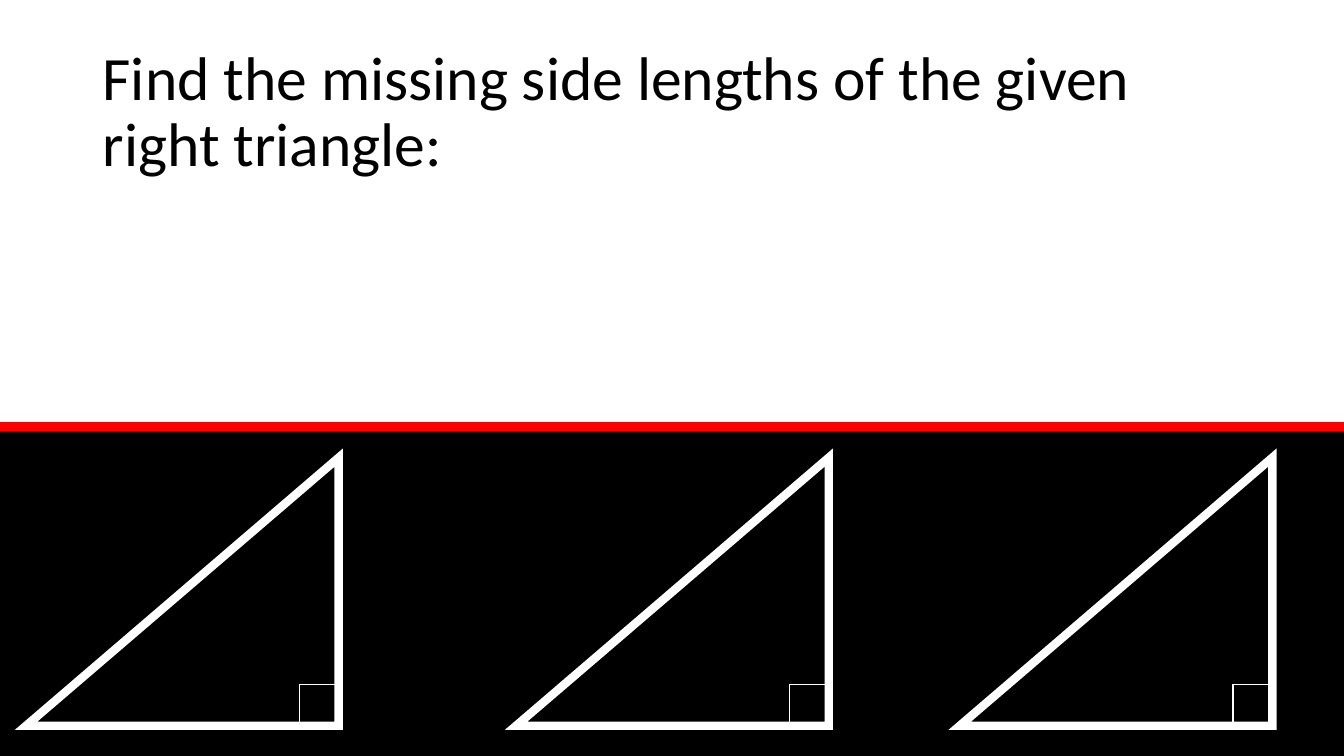
from lxml import etree
from pptx import Presentation
from pptx.dml.color import RGBColor
from pptx.enum.shapes import MSO_CONNECTOR, MSO_SHAPE
from pptx.enum.text import MSO_ANCHOR
from pptx.oxml.ns import qn
from pptx.util import Inches, Pt

BLACK = RGBColor(0x00, 0x00, 0x00)
WHITE = RGBColor(0xFF, 0xFF, 0xFF)
RED = RGBColor(0xFF, 0x00, 0x00)

RECTANGLE = MSO_SHAPE.RECTANGLE
RIGHT_TRIANGLE = MSO_SHAPE.RIGHT_TRIANGLE
STRAIGHT = MSO_CONNECTOR.STRAIGHT
MIDDLE = MSO_ANCHOR.MIDDLE

SLIDE_W, SLIDE_H = 13.33, 7.5
BAND_TOP = 4.23
TRIANGLE_TOP, TRIANGLE_W, TRIANGLE_H = 4.54, 3.1, 2.66
MARK_TOP, MARK_SIZE = 6.79, 0.39
TRIANGLE_LEFTS = (0.26, 5.12, 9.52)


def add_title(slide, text):
    box = slide.shapes.add_textbox(Inches(0.92), Inches(0.4), Inches(11.5), Inches(1.45))
    tf = box.text_frame
    tf.word_wrap = True
    tf.vertical_anchor = MIDDLE
    p = tf.paragraphs[0]
    p.text = text
    p.line_spacing = 0.9
    p.font.size = Pt(44)
    p.font.name = "Calibri"
    p.font.color.rgb = BLACK


def add_band(slide):
    sp = slide.shapes.add_shape(
        RECTANGLE, 0, Inches(BAND_TOP), Inches(SLIDE_W), Inches(SLIDE_H - BAND_TOP))
    sp.shadow.inherit = False
    sp.fill.solid()
    sp.fill.fore_color.rgb = BLACK
    sp.line.fill.background()


def add_divider(slide):
    line = slide.shapes.add_connector(
        STRAIGHT, 0, Inches(BAND_TOP), Inches(SLIDE_W), Inches(BAND_TOP))
    line.line.color.rgb = RED
    line.line.width = Pt(6)
    etree.SubElement(line._element.spPr, qn("a:effectLst"))


def add_outline(slide, kind, left, top, width, height, weight):
    sp = slide.shapes.add_shape(
        kind, Inches(left), Inches(top), Inches(width), Inches(height))
    sp.shadow.inherit = False
    sp.fill.background()
    sp.line.color.rgb = WHITE
    sp.line.width = Pt(weight)
    miter = etree.SubElement(sp._element.spPr.find(qn("a:ln")), qn("a:miter"))
    miter.set("lim", "800000")
    return sp


def add_right_triangle(slide, left):
    triangle = add_outline(
        slide, RIGHT_TRIANGLE, left, TRIANGLE_TOP, TRIANGLE_W, TRIANGLE_H, 6)
    triangle._element.spPr.find(qn("a:xfrm")).set("flipH", "1")
    mark_left = left + TRIANGLE_W - MARK_SIZE
    add_outline(slide, RECTANGLE, mark_left, MARK_TOP, MARK_SIZE, MARK_SIZE, 1)


def main():
    prs = Presentation()
    prs.slide_width = Inches(SLIDE_W)
    prs.slide_height = Inches(SLIDE_H)
    slide = prs.slides.add_slide(prs.slide_layouts[6])
    add_title(slide, "Find the missing side lengths of the given right triangle:")
    add_band(slide)
    add_divider(slide)
    for left in TRIANGLE_LEFTS:
        add_right_triangle(slide, left)
    prs.save("out.pptx")


if __name__ == "__main__":
    main()
